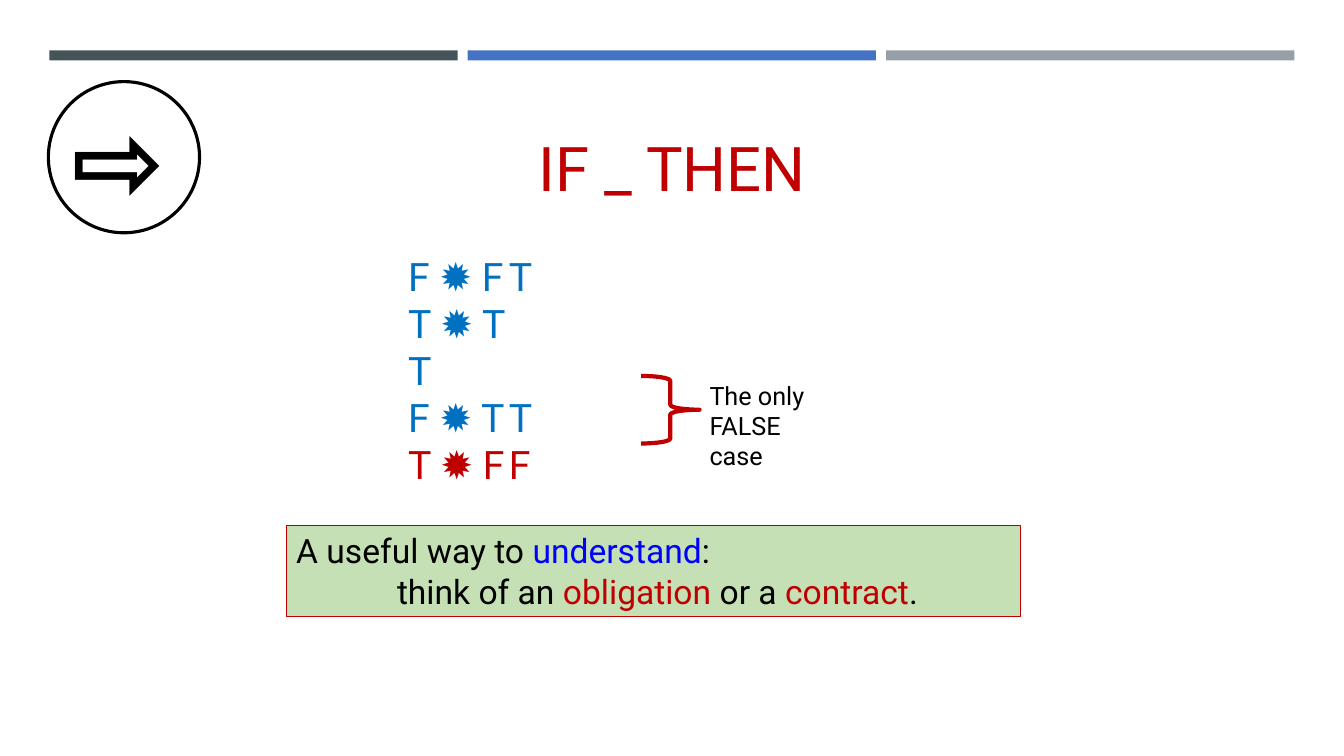
from dataclasses import dataclass

from lxml.etree import SubElement
from pptx import Presentation
from pptx.dml.color import RGBColor
from pptx.enum.shapes import MSO_SHAPE
from pptx.enum.text import MSO_ANCHOR, PP_ALIGN
from pptx.oxml.ns import qn
from pptx.util import Inches, Pt

COLS, ROWS = 133.33, 75  # square grid cells
CELL = Inches(0.1)
TAB = 10  # cells between tab stops


@dataclass(frozen=True)
class Theme:
    font: str = "Roboto"
    black: str = "000000"
    red: str = "C00000"
    blue: str = "0070C0"
    link: str = "0000FF"
    green: str = "C5E0B4"
    bars: tuple = ("465359", "4472C4", "969FA7")
    note: int = 18
    body: int = 24
    table: int = 28
    title: int = 44
    symbol: int = 80


def write(p, text, *, font, size, color, bold=False):
    """Append one formatted run to a paragraph."""
    r = p.add_run()
    r.text = text
    r.font.name, r.font.size, r.font.bold = font, Pt(size), bold
    r.font.color.rgb = RGBColor.from_string(color)


def add_tabs(p, count):
    """Set evenly spaced left tab stops."""
    tabs = SubElement(p._p.get_or_add_pPr(), qn("a:tabLst"))
    for n in range(1, count + 1):
        SubElement(tabs, qn("a:tab"), pos=str(n * TAB * CELL), algn="l")


class SlideBuilder:
    def __init__(self, s, theme):
        self.s, self.theme = s, theme

    def box(self, *cells):
        """Turn columns and rows into lengths."""
        return [round(n * CELL) for n in cells]

    def shape(self, kind, cells, fill=None, line=None, weight=1):
        sp = self.s.shapes.add_shape(kind, *self.box(*cells))
        sp.shadow.inherit = False
        if fill:
            sp.fill.solid()
            sp.fill.fore_color.rgb = RGBColor.from_string(fill)
        else:
            sp.fill.background()
        if line:
            sp.line.color.rgb = RGBColor.from_string(line)
            sp.line.width = Pt(weight)
        else:
            sp.line.fill.background()
        return sp

    def fill_text(self, sp, lines, size, align=PP_ALIGN.LEFT,
                  anchor=MSO_ANCHOR.TOP, bold=False, tabs=0):
        """Each line is a list of (text, colour) pairs."""
        tf = sp.text_frame
        tf.word_wrap = True
        tf.vertical_anchor = anchor
        for i, line in enumerate(lines):
            p = tf.add_paragraph() if i else tf.paragraphs[0]
            p.alignment = align
            if tabs:
                add_tabs(p, tabs)
            for text, color in line:
                write(p, text, font=self.theme.font, size=size,
                      color=color, bold=bold)

    def text(self, cells, lines, size, **fmt):
        sp = self.s.shapes.add_textbox(*self.box(*cells))
        self.fill_text(sp, lines, size, **fmt)


def main():
    t = Theme()
    prs = Presentation()
    prs.slide_width, prs.slide_height = round(COLS * CELL), ROWS * CELL
    b = SlideBuilder(prs.slides.add_slide(prs.slide_layouts[6]), t)

    # Top bars
    for i, color in enumerate(t.bars):
        b.shape(MSO_SHAPE.RECTANGLE, (4.9 + 41.5 * i, 5, 40.5, 1), fill=color)

    # Truth table
    truth = [("F ✹ F\tT", t.blue), ("T ✹ T\t\tT", t.blue),
             ("F ✹ T\tT", t.blue), ("T ✹ F\tF", t.red)]
    b.text((39.5, 24.5, 24.2, 19.9), [[row] for row in truth], t.table, tabs=2)

    # Brace and its note
    b.shape(MSO_SHAPE.RIGHT_BRACE, (63.6, 37.3, 5.8, 6.7), line=t.red, weight=3)
    b.text((69.4, 37.2, 13.5, 7.1),
           [[("The only", t.black)], [("FALSE case", t.black)]], t.note)

    # Advice panel
    panel = b.shape(MSO_SHAPE.RECTANGLE, (28.4, 52.1, 72.8, 9.1),
                    fill=t.green, line=t.red, weight=0.75)
    advice = [
        [("A useful way to ", t.black), ("understand", t.link), (":", t.black)],
        [("\tthink of an ", t.black), ("obligation", t.red),
         (" or a ", t.black), ("contract", t.red), (".", t.black)],
    ]
    b.fill_text(panel, advice, t.body, tabs=1)

    # Title
    b.text((6.4, 7.7, 120.6, 13), [[("IF _ THEN", t.red)]], t.title,
           align=PP_ALIGN.CENTER, anchor=MSO_ANCHOR.BOTTOM)

    # Implication symbol
    b.shape(MSO_SHAPE.OVAL, (4.8, 8.1, 15, 15), line=t.black, weight=2.25)
    b.text((6.1, 8.4, 12, 14.5), [[("⇨", t.black)]], t.symbol, bold=True)

    prs.save("out.pptx")


if __name__ == "__main__":
    main()
